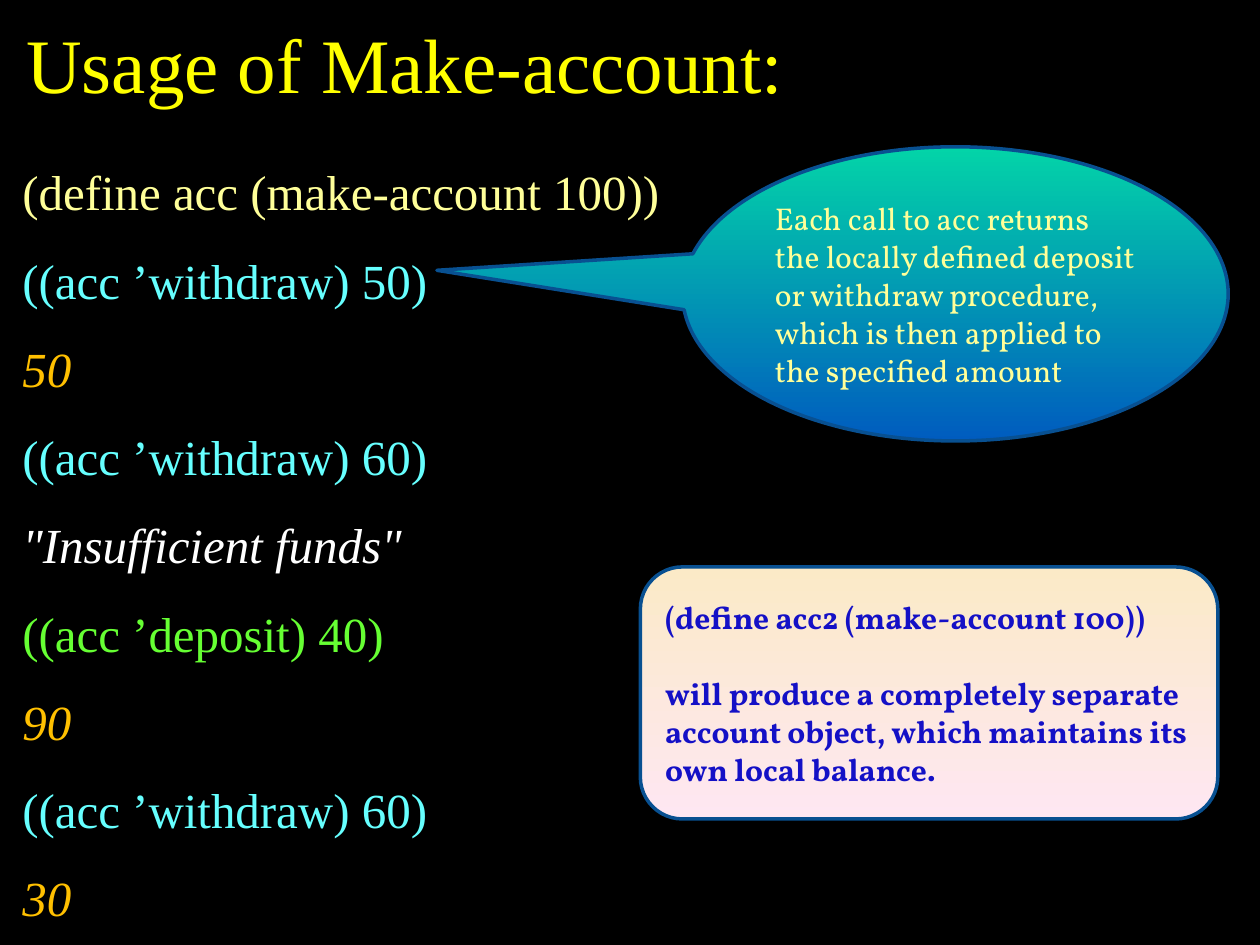
from dataclasses import dataclass

import pptx
import pptx.dml.color
import pptx.enum.shapes
import pptx.enum.text
import pptx.oxml.ns
import pptx.util
from lxml import etree

Cm = pptx.util.Cm
Pt = pptx.util.Pt
RGBColor = pptx.dml.color.RGBColor
Shape = pptx.enum.shapes.MSO_SHAPE
Anchor = pptx.enum.text.MSO_ANCHOR

BLACK = RGBColor(0x00, 0x00, 0x00)
WHITE = RGBColor(0xFF, 0xFF, 0xFF)
YELLOW = RGBColor(0xFF, 0xFF, 0x00)
PALE_YELLOW = RGBColor(0xFF, 0xFF, 0x99)
CYAN = RGBColor(0x66, 0xFF, 0xFF)
AMBER = RGBColor(0xFF, 0xC0, 0x00)
GREEN = RGBColor(0x66, 0xFF, 0x33)
INK_BLUE = RGBColor(0x14, 0x10, 0xC6)
OUTLINE_BLUE = RGBColor(0x08, 0x50, 0x91)
TEAL = RGBColor(0x03, 0xD4, 0xA8)
DEEP_BLUE = RGBColor(0x00, 0x5C, 0xBF)
CREAM = RGBColor(0xFB, 0xEA, 0xC7)
PINK = RGBColor(0xFE, 0xE7, 0xF2)

CODE_FONT = "Times New Roman"
NOTE_FONT = "Vollkorn"


@dataclass
class Box:
    """Position and size in centimetres."""
    left: float
    top: float
    width: float
    height: float

    def lengths(self) -> tuple:
        return Cm(self.left), Cm(self.top), Cm(self.width), Cm(self.height)


@dataclass
class Line:
    text: str
    color: RGBColor
    italic: bool = False


@dataclass
class Note:
    preset: Shape
    box: Box
    top_color: RGBColor
    bottom_color: RGBColor
    text_color: RGBColor
    paragraphs: list[str]
    bold: bool = False
    adjustments: tuple[float, ...] = ()


SESSION = [
    Line("(define acc (make-account 100))", PALE_YELLOW),
    Line("((acc ’withdraw) 50)", CYAN),
    Line("50", AMBER, True),
    Line("((acc ’withdraw) 60)", CYAN),
    Line('"Insufficient funds"', WHITE, True),
    Line("((acc ’deposit) 40)", GREEN),
    Line("90", AMBER, True),
    Line("((acc ’withdraw) 60)", CYAN),
    Line("30", AMBER, True),
]

NOTES = [
    Note(Shape.OVAL_CALLOUT, Box(13.76, 2.96, 11, 5.93), TEAL, DEEP_BLUE, PALE_YELLOW,
         ["Each call to acc returns the locally defined deposit or withdraw "
          "procedure, which is then applied to the specified amount"],
         adjustments=(-0.95, -0.08)),
    Note(Shape.FLOWCHART_ALTERNATE_PROCESS, Box(12.91, 11.43, 11.64, 5.08), CREAM, PINK,
         INK_BLUE,
         ["(define acc2 (make-account 100))",
          "will produce a completely separate account object, which maintains "
          "its own local balance."],
         bold=True),
]


def place(shape, box: Box, anchor: Anchor) -> None:
    shape.left, shape.top, shape.width, shape.height = box.lengths()
    frame = shape.text_frame
    frame.word_wrap = True
    frame.auto_size = pptx.enum.text.MSO_AUTO_SIZE.NONE
    frame.vertical_anchor = anchor
    frame.margin_left = frame.margin_right = Cm(0.25)
    frame.margin_top = frame.margin_bottom = Cm(0.13)


def format_paragraph(paragraph, font_name: str, size: float, color: RGBColor,
                     bold: bool = False, italic: bool = False) -> None:
    paragraph.alignment = pptx.enum.text.PP_ALIGN.LEFT
    font = paragraph.font
    font.name = font_name
    font.size = Pt(size)
    font.bold = bold
    font.italic = italic
    font.color.rgb = color


def remove_bullet(paragraph) -> None:
    properties = paragraph._p.get_or_add_pPr()
    properties.set("marL", "0")
    properties.set("indent", "0")
    etree.SubElement(properties, pptx.oxml.ns.qn("a:buNone"))


def fill_title(title) -> None:
    # Wide enough to keep the title on one line
    place(title, Box(0.28, 0.2, 16.3, 2.13), Anchor.TOP)
    title.text_frame.text = "Usage of Make-account:"
    format_paragraph(title.text_frame.paragraphs[0], CODE_FONT, 44, YELLOW)


def fill_session(body, lines: list[Line]) -> None:
    place(body, Box(0.2, 2.54, 14.4, 16.28), Anchor.TOP)
    body.text_frame.text = "\n".join(line.text for line in lines)
    for paragraph, line in zip(body.text_frame.paragraphs, lines):
        paragraph.line_spacing = 1.5
        paragraph.space_before = Pt(0)
        remove_bullet(paragraph)
        format_paragraph(paragraph, CODE_FONT, 28, line.color, italic=line.italic)


def draw_note(slide, note: Note) -> None:
    shape = slide.shapes.add_shape(note.preset, *note.box.lengths())
    shape.shadow.inherit = False
    for index, value in enumerate(note.adjustments):
        shape.adjustments[index] = value

    # Vertical gradient and outline
    shape.fill.gradient()
    shape.fill.gradient_angle = 270
    for stop, color in zip(shape.fill.gradient_stops, (note.top_color, note.bottom_color)):
        stop.color.rgb = color
    shape.line.color.rgb = OUTLINE_BLUE
    shape.line.width = Pt(2)

    # Text, with one line's height between paragraphs
    place(shape, note.box, Anchor.MIDDLE)
    shape.text_frame.text = "\n".join(note.paragraphs)
    for index, paragraph in enumerate(shape.text_frame.paragraphs):
        if index:
            paragraph.space_before = Pt(21.7)
        format_paragraph(paragraph, NOTE_FONT, 18, note.text_color, bold=note.bold)


def main() -> None:
    presentation = pptx.Presentation()
    presentation.slide_width = Cm(25.4)
    presentation.slide_height = Cm(19.05)
    slide = presentation.slides.add_slide(presentation.slide_layouts[1])
    slide.background.fill.solid()
    slide.background.fill.fore_color.rgb = BLACK

    fill_title(slide.shapes.title)
    fill_session(slide.placeholders[1], SESSION)
    for note in NOTES:
        draw_note(slide, note)

    presentation.save("out.pptx")


if __name__ == "__main__":
    main()
